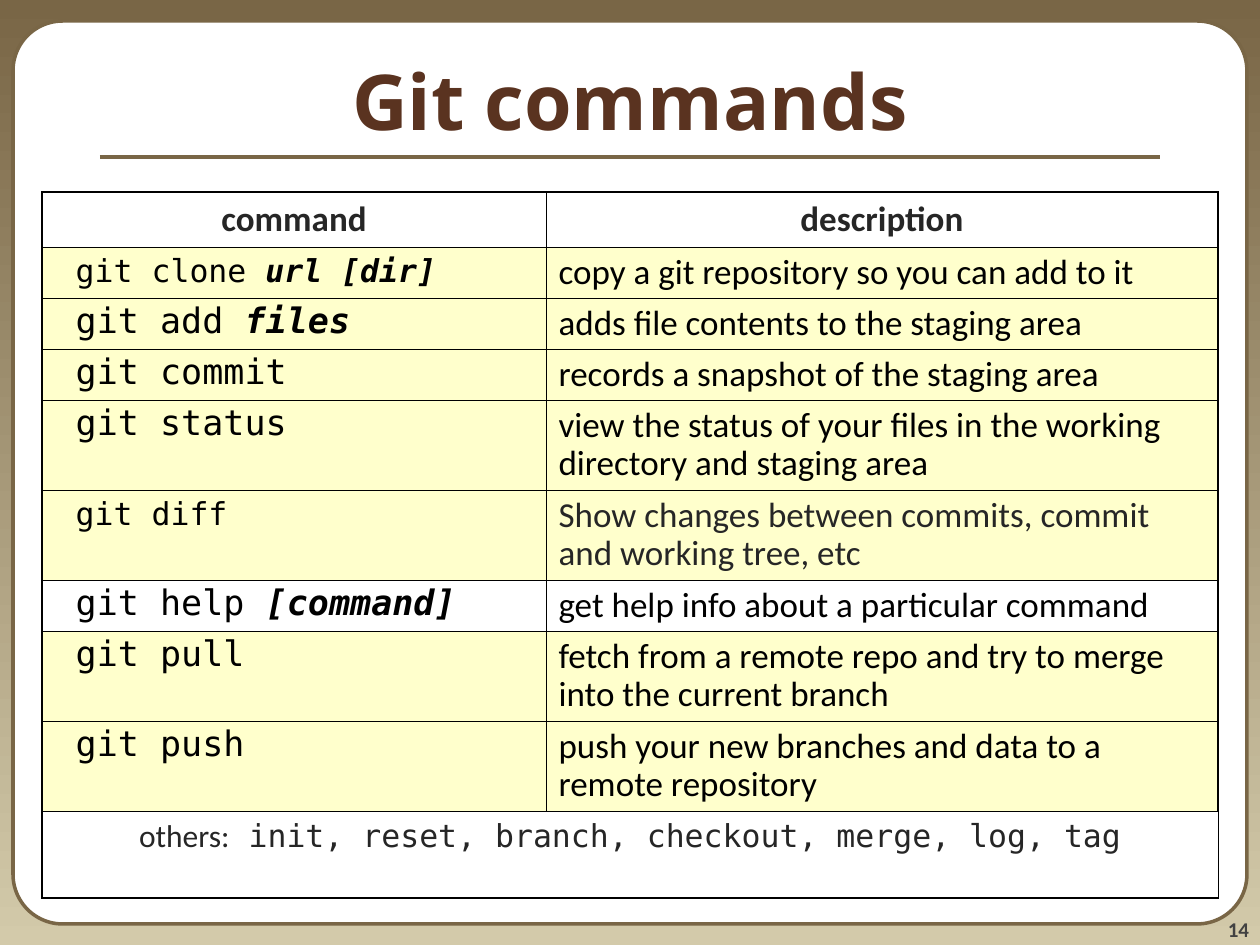
from lxml import etree
from pptx import Presentation
from pptx.dml.color import RGBColor
from pptx.enum.shapes import MSO_CONNECTOR, MSO_SHAPE
from pptx.enum.text import MSO_ANCHOR, PP_ALIGN
from pptx.oxml.ns import qn
from pptx.util import Pt

CENTER, RIGHT = PP_ALIGN.CENTER, PP_ALIGN.RIGHT
MIDDLE, BOTTOM = MSO_ANCHOR.MIDDLE, MSO_ANCHOR.BOTTOM
PX = 914400 // 126
BODY, MONO, HEAD = "Calibri", "DejaVu Sans Mono", "Noto Sans"
COLORS = {
    "frame": "796646", "sand": "D3CAAA", "panel": "FFFFFF", "title": "5A3320",
    "number": "424242", "dark": "262626", "black": "000000", "highlight": "FFFFCC",
}

# Content: command, argument, command size, description, description color, highlighted
TITLE, NUMBER = "Git commands", "14"
HEADERS = ["command", "description"]
COMMANDS = [
    ("git clone ", "url [dir]", 18, "copy a git repository so you can add to it", "black", True),
    ("git add ", "files", 20, "adds file contents to the staging area", "black", True),
    ("git commit", "", 20, "records a snapshot of the staging area", "black", True),
    ("git status", "", 20,
     "view the status of your files in the working directory and staging area", "black", True),
    ("git diff", "", 18,
     "Show changes between commits, commit and working tree, etc", "dark", True),
    ("git help ", "[command]", 20, "get help info about a particular command", "black", False),
    ("git pull", "", 20,
     "fetch from a remote repo and try to merge into the current branch", "black", True),
    ("git push", "", 20, "push your new branches and data to a remote repository", "black", True),
]
OTHERS = ("others:", " init, reset, branch, checkout, merge, log, tag")
COL_WIDTHS = [504, 672]
HEADER_H, ONE_LINE, TWO_LINES, OTHERS_H = 55, 51, 90, 87
LINE_CHARS = 45  # longest description that stays on one line


def px(*values):
    return [v * PX for v in values]


def rgb(name):
    return RGBColor.from_string(COLORS[name])


def style(r, size, font, color, bold=False, italic=False):
    f = r.font
    f.size, f.name, f.bold, f.italic = Pt(size), font, bold, italic
    f.color.rgb = rgb(color)


def write(p, runs, align=None, before=0, spacing=None):
    """Fill a paragraph with (text, size, font, color, bold, italic) runs."""
    p.alignment, p.space_before, p.line_spacing = align, Pt(before), spacing
    for text, *look in runs:
        r = p.add_run()
        r.text = text
        style(r, *look)


def text_box(box, run, align, anchor, before=0):
    tf = s.shapes.add_textbox(*px(*box)).text_frame
    tf.word_wrap, tf.vertical_anchor = True, anchor
    tf.margin_left = tf.margin_right = tf.margin_top = tf.margin_bottom = 0
    write(tf.paragraphs[0], [run], align, before)


def set_borders(cell, row, col):
    """Thick lines around the table, thin lines inside."""
    tcPr = cell._tc.get_or_add_tcPr()
    outer = {"lnL": col == 0, "lnR": col == 1, "lnT": row == 0, "lnB": row == last}
    for tag, thick in outer.items():
        ln = etree.SubElement(tcPr, qn("a:" + tag), w=str(Pt(1.08 if thick else 0.45)))
        fill = etree.SubElement(ln, qn("a:solidFill"))
        etree.SubElement(fill, qn("a:srgbClr"), val=COLORS["black"])


prs = Presentation()
prs.slide_width, prs.slide_height = px(1260, 945)
s = prs.slides.add_slide(prs.slide_layouts[6])

# Background gradient, top to bottom
bg = s.background.fill
bg.gradient()
bg.gradient_angle = 270
for stop, name in zip(bg.gradient_stops, ("frame", "sand")):
    stop.color.rgb = rgb(name)

# Rounded panel
panel = s.shapes.add_shape(MSO_SHAPE.ROUNDED_RECTANGLE, *px(13, 21, 1234, 903))
panel.adjustments[0] = 0.055
panel.shadow.inherit = False
panel.fill.solid()
panel.fill.fore_color.rgb = rgb("panel")
panel.line.color.rgb = rgb("frame")
panel.line.width = Pt(2)

# Page number, title and rule
text_box((1144, 892, 105, 50), (NUMBER, 12, BODY, "number", True), RIGHT, BOTTOM, 5)
rule = s.shapes.add_connector(MSO_CONNECTOR.STRAIGHT, *px(100, 157, 1160, 157))
rule.line.color.rgb = rgb("frame")
rule.line.width = Pt(2.25)
etree.SubElement(rule._element.spPr, qn("a:effectLst"))
text_box((0, 21, 1260, 158), (TITLE, 44, HEAD, "title", True), CENTER, MIDDLE)

# Command table
heights = [HEADER_H]
heights += [TWO_LINES if len(c[3]) > LINE_CHARS else ONE_LINE for c in COMMANDS]
heights += [OTHERS_H]
last = len(heights) - 1
table = s.shapes.add_table(
    len(heights), 2, *px(42, 192, sum(COL_WIDTHS), sum(heights))).table
table.first_row = table.horz_banding = False
for column, width in zip(table.columns, COL_WIDTHS):
    column.width = width * PX
for i, height in enumerate(heights):
    table.rows[i].height = height * PX
    for j in range(2):
        cell = table.cell(i, j)
        set_borders(cell, i, j)
        if 0 < i < last and COMMANDS[i - 1][-1]:
            cell.fill.solid()
            cell.fill.fore_color.rgb = rgb("highlight")
        else:
            cell.fill.background()

for j, header in enumerate(HEADERS):
    p = table.cell(0, j).text_frame.paragraphs[0]
    write(p, [(header, 20, BODY, "dark", True)], CENTER, 5)

for i, (command, argument, size, description, color, _) in enumerate(COMMANDS, 1):
    runs = [(" ", 20, MONO, "black"), (command, size, MONO, "black")]
    if argument:
        runs.append((argument, size, MONO, "black", True, True))
    left, right = (table.cell(i, j).text_frame.paragraphs[0] for j in range(2))
    write(left, runs, before=size / 4, spacing=0.9)
    write(right, [(description, 20, BODY, color)], before=5, spacing=0.9)

others = table.cell(last, 0)
others.merge(table.cell(last, 1))
write(others.text_frame.paragraphs[0],
      [(text, 18, font, "dark") for text, font in zip(OTHERS, (BODY, MONO))], CENTER, 4.5)

prs.save("out.pptx")
